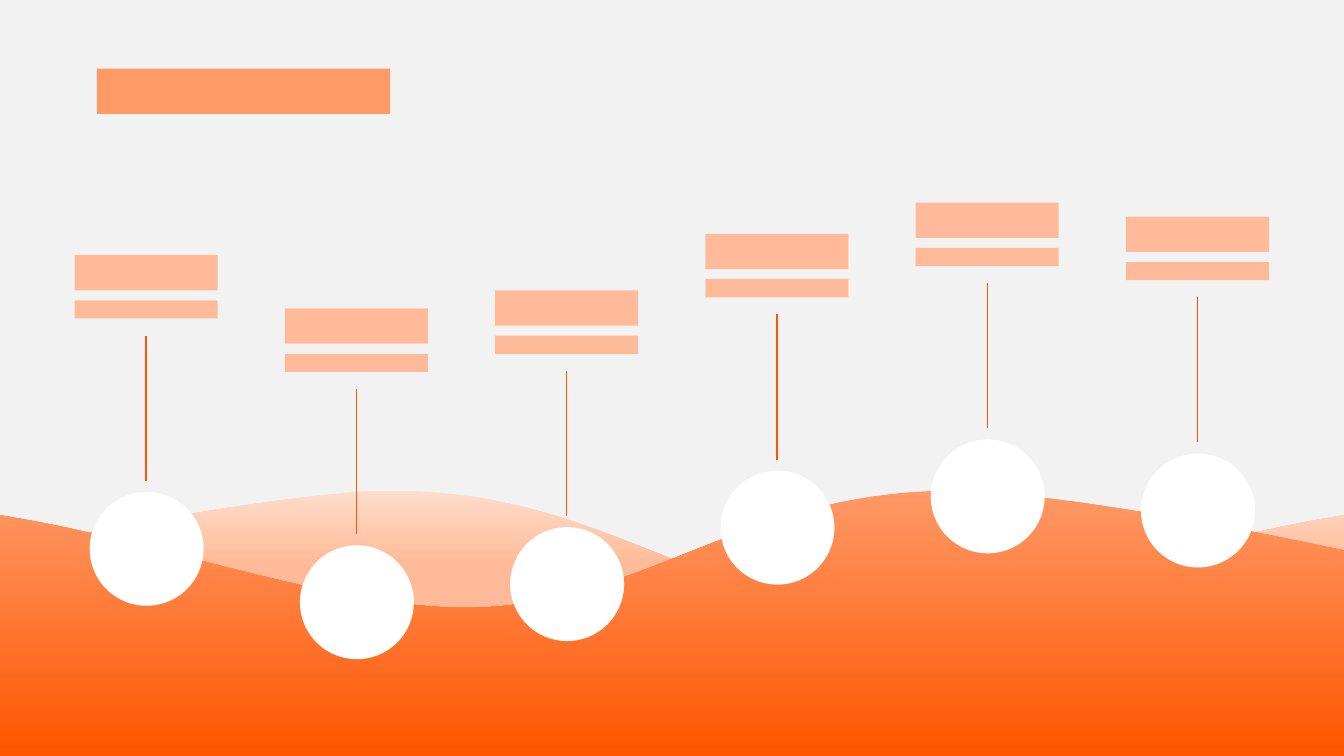
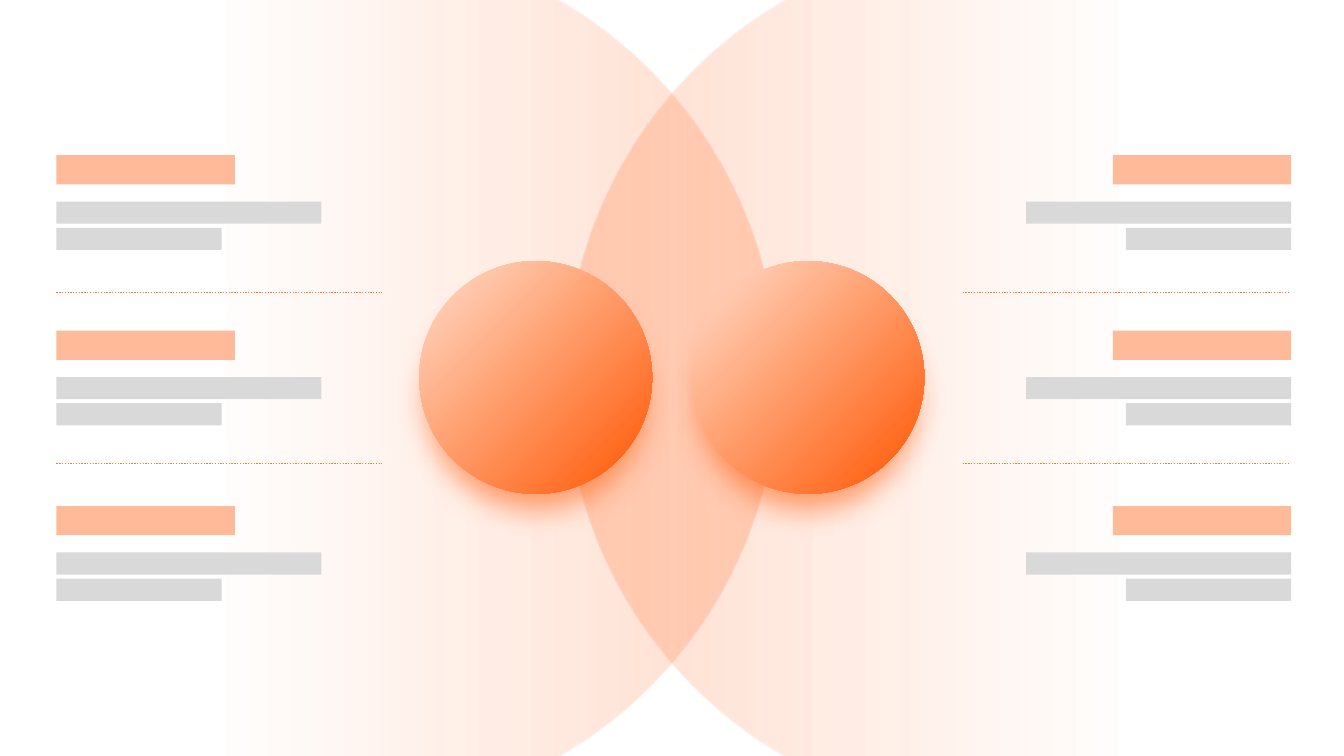
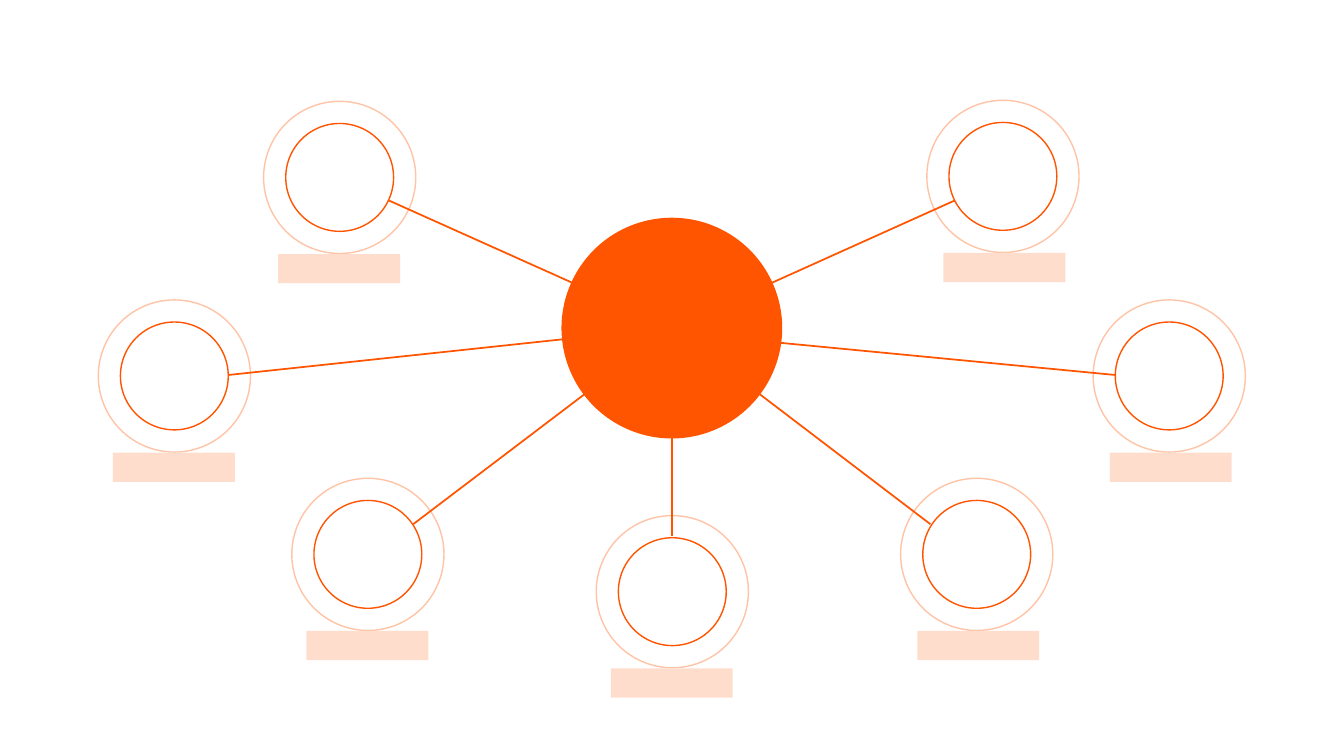
from pptx import Presentation
from pptx.dml.color import RGBColor
from pptx.enum.dml import MSO_LINE
from pptx.enum.shapes import MSO_CONNECTOR, MSO_SHAPE
from pptx.oxml.ns import qn
from pptx.oxml.xmlchemy import OxmlElement
from pptx.util import Inches, Pt

WIDTH, HEIGHT = 40 / 3, 7.5
ORANGE = "FF5500"
CORAL = "FF9966"
PEACH = "FFBB99"
BLUSH = "FFDDCC"
RUST = "ED7D31"
WHITE = "FFFFFF"
MIST = "F2F2F2"
GREY = "D9D9D9"

WAVE_START = [(0, HEIGHT), (0, 5.46), (0.2, 5.42)]
WAVE_CURVES = [
    ((1.43, 5.16), (2.59, 4.97), (3.33, 4.9)),
    ((3.48, 4.88), (3.63, 4.87), (3.77, 4.87)),
    ((5.86, 4.82), (6.89, 5.98), (8.62, 6.03)),
    ((9.89, 6.06), (11.68, 5.41), (13, 5.17)),
]
WAVE_END = [(WIDTH, 5.11), (WIDTH, HEIGHT)]

MILESTONE_TOPS = [4.88, 5.41, 5.23, 4.67, 4.36, 4.5]
FIRST_MILESTONE, LAST_MILESTONE = 0.89, 11.32

HUB = (6.67, 3.25)
NODES = [
    ((9.95, 1.75), HUB, (9.47, 1.99)),
    ((11.6, 3.73), (6.69, 3.3), (11.06, 3.72)),
    ((9.69, 5.5), HUB, (9.23, 5.2)),
    ((6.67, 5.87), HUB, (6.67, 5.32)),
    ((3.65, 5.5), HUB, (4.1, 5.2)),
    ((1.73, 3.73), HUB, (2.27, 3.72)),
    ((3.37, 1.76), HUB, (3.86, 1.99)),
]


def color(value):
    return RGBColor.from_string(value)


def add_page(deck, background):
    page = deck.slides.add_slide(deck.slide_layouts[6])
    page.background.fill.solid()
    page.background.fill.fore_color.rgb = color(background)
    return page


def set_alpha(color_element, percent):
    alpha = OxmlElement("a:alpha")
    alpha.set("val", str(percent * 1000))
    color_element.append(alpha)


def add_shape(parent, kind, left, top, width, height, fill=None):
    shape = parent.shapes.add_shape(
        kind, Inches(left), Inches(top), Inches(width), Inches(height))
    shape.shadow.inherit = False
    shape.line.fill.background()
    if fill:
        shape.fill.solid()
        shape.fill.fore_color.rgb = color(fill)
    else:
        shape.fill.background()
    return shape


def add_bar(parent, left, top, width, height, fill):
    add_shape(parent, MSO_SHAPE.RECTANGLE, left, top, width, height, fill)


def add_circle(parent, left, top, size, fill=None):
    return add_shape(parent, MSO_SHAPE.OVAL, left, top, size, size, fill)


def add_outlined_circle(page, center, size, fill=None, alpha=None):
    x, y = center
    circle = add_circle(page, x - size / 2, y - size / 2, size, fill)
    circle.line.color.rgb = color(ORANGE)
    circle.line.width = Pt(1)
    if alpha is not None:
        outline = circle._element.spPr.find(qn("a:ln"))
        set_alpha(next(outline.iter(qn("a:srgbClr"))), alpha)


def add_line(parent, start, end, value=ORANGE, width=1, dash=None):
    line = parent.shapes.add_connector(
        MSO_CONNECTOR.STRAIGHT, *map(Inches, (*start, *end)))
    line.line.color.rgb = color(value)
    line.line.width = Pt(width)
    if dash:
        line.line.dash_style = dash
    line._element.spPr.append(OxmlElement("a:effectLst"))


def set_gradient(shape, stops, clockwise_angle, alphas=()):
    shape.fill.gradient()
    shape.fill.gradient_angle = (360 - clockwise_angle) % 360
    for stop, (position, value) in zip(shape.fill.gradient_stops, stops):
        stop.position = position
        stop.color.rgb = color(value)
    gradient = shape._element.spPr.find(qn("a:gradFill"))
    for element, alpha in zip(gradient.iter(qn("a:srgbClr")), alphas):
        set_alpha(element, alpha)


def set_glow_below(shape):
    shadow = OxmlElement("a:outerShdw")
    settings = {
        "blurRad": Pt(21), "dist": Pt(21), "dir": 90 * 60000,
        "sx": 94000, "sy": 94000, "algn": "t", "rotWithShape": 0,
    }
    for key, value in settings.items():
        shadow.set(key, str(value))
    tint = OxmlElement("a:srgbClr")
    tint.set("val", ORANGE)
    set_alpha(tint, 53)
    shadow.append(tint)
    shape._element.spPr.find(qn("a:effectLst")).append(shadow)


def bend_segment(segment, points):
    curve = OxmlElement("a:cubicBezTo")
    for x, y in points:
        point = OxmlElement("a:pt")
        point.set("x", str(x))
        point.set("y", str(y))
        curve.append(point)
    segment.getparent().replace(segment, curve)


def add_wave(page, stops, mirrored=False):
    def place(point):
        x, y = point
        return Inches(WIDTH - x if mirrored else x), Inches(y)

    anchors = WAVE_START + [curve[-1] for curve in WAVE_CURVES] + WAVE_END
    first, *others = map(place, anchors)
    builder = page.shapes.build_freeform(*first)
    builder.add_line_segments(others, close=True)
    wave = builder.convert_to_shape()
    segments = list(wave._element.spPr.iter(qn("a:lnTo")))
    for segment, curve in zip(segments[len(WAVE_START) - 1:], WAVE_CURVES):
        placed = map(place, curve)
        bend_segment(segment, [(x - wave.left, y - wave.top) for x, y in placed])
    wave.shadow.inherit = False
    wave.line.fill.background()
    set_gradient(wave, stops, 90)


def add_milestone(page, left, top):
    group = page.shapes.add_group_shape()
    add_circle(group, left, top, 1.13, WHITE)
    middle = left + 0.56
    add_line(group, (middle, top - 1.55), (middle, top - 0.11))
    add_bar(group, left - 0.15, top - 1.9, 1.42, 0.18, PEACH)
    add_bar(group, left - 0.15, top - 2.35, 1.42, 0.35, PEACH)


def build_timeline(deck):
    page = add_page(deck, MIST)
    add_wave(page, [(0, BLUSH), (0.27, PEACH)])
    add_wave(page, [(0, CORAL), (1, ORANGE)], mirrored=True)
    step = (LAST_MILESTONE - FIRST_MILESTONE) / (len(MILESTONE_TOPS) - 1)
    for index, top in enumerate(MILESTONE_TOPS):
        add_milestone(page, FIRST_MILESTONE + index * step, top)
    add_bar(page, 0.96, 0.68, 2.91, 0.45, CORAL)


def add_text_bars(page, edge, top, right_aligned):
    group = page.shapes.add_group_shape()
    for offset, width, height, fill in (
            (0, 1.77, 0.29, PEACH),
            (0.46, 2.63, 0.22, GREY),
            (0.72, 1.64, 0.22, GREY)):
        left = edge - width if right_aligned else edge
        add_bar(group, left, top + offset, width, height, fill)


def build_comparison(deck):
    page = add_page(deck, WHITE)
    for left, angle in ((5.62, 180), (-0.94, 0)):
        halo = add_circle(page, left, -0.57, 8.65)
        set_gradient(halo, [(0.36, ORANGE), (1, ORANGE)], angle, (0, 20))
    for left in (6.86, 4.16):
        ball = add_circle(page, left, 2.59, 2.31)
        set_gradient(ball, [(0, BLUSH), (1, ORANGE)], 45)
        set_glow_below(ball)
    for left in (0.56, 9.55):
        for y in (2.9, 4.6):
            add_line(page, (left, y), (left + 3.23, y), RUST,
                     dash=MSO_LINE.ROUND_DOT)
    for edge, right_aligned in ((0.56, False), (12.81, True)):
        for row in range(3):
            add_text_bars(page, edge, 1.54 + row * 1.74, right_aligned)


def build_network(deck):
    page = add_page(deck, WHITE)
    for _, link_start, link_end in NODES:
        add_line(page, link_start, link_end, width=1.25)
    for center, _, _ in NODES:
        add_outlined_circle(page, center, 1.07, WHITE)
        add_outlined_circle(page, center, 1.51, alpha=35)
    add_circle(page, 5.57, 2.16, 2.19, ORANGE)
    for (x, y), _, _ in NODES:
        shift = 0.02 if x > HUB[0] else 0
        add_bar(page, x - 0.61 + shift, y + 0.76, 1.21, 0.29, BLUSH)


def main():
    deck = Presentation()
    deck.slide_width = Inches(WIDTH)
    deck.slide_height = Inches(HEIGHT)
    build_timeline(deck)
    build_comparison(deck)
    build_network(deck)
    deck.save("out.pptx")


if __name__ == "__main__":
    main()
